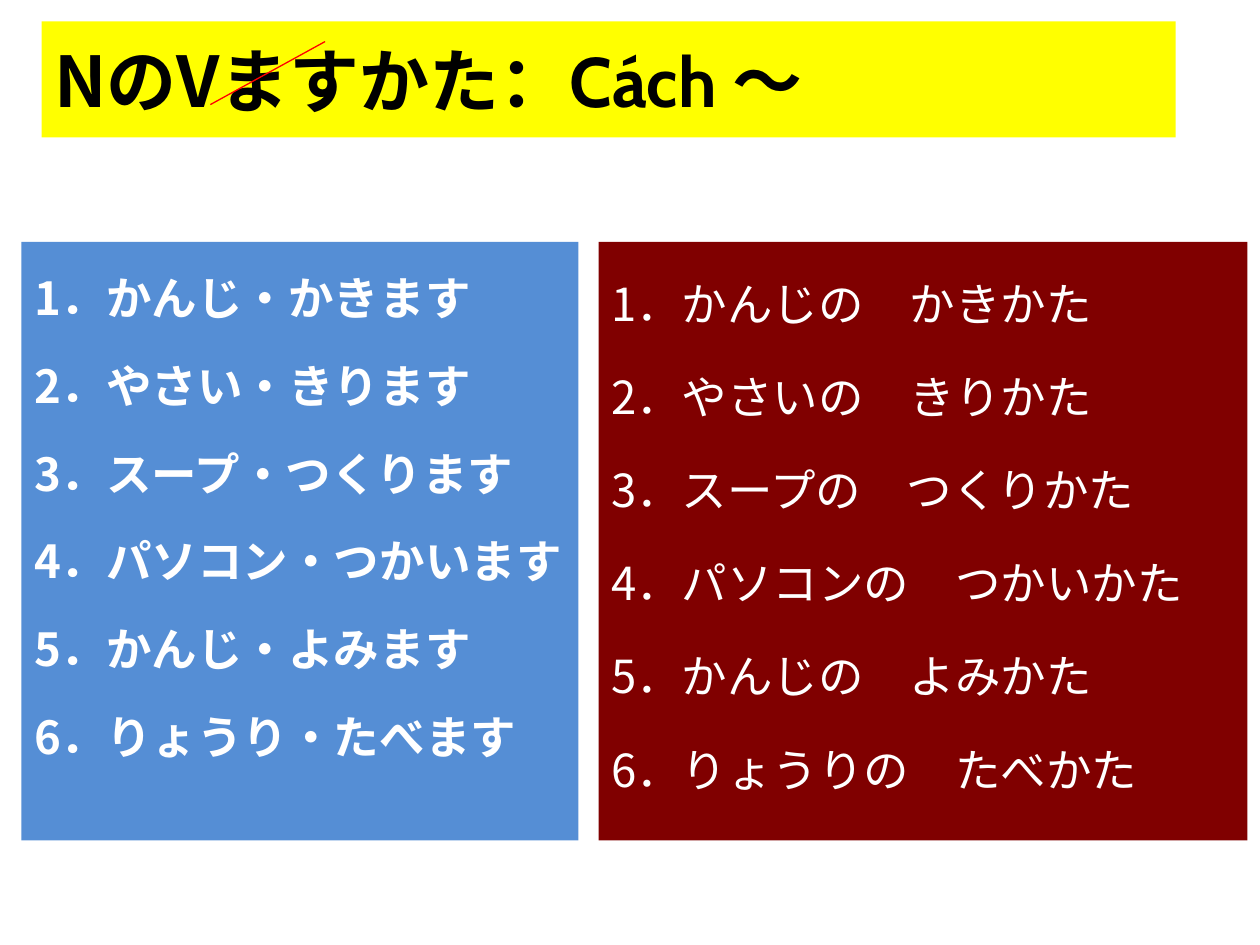
from lxml import etree
from pptx import Presentation
from pptx.dml.color import RGBColor
from pptx.enum.shapes import MSO_CONNECTOR
from pptx.enum.text import MSO_ANCHOR, MSO_AUTO_SIZE, PP_ALIGN
from pptx.oxml.ns import qn
from pptx.util import Inches, Pt

STRAIGHT = MSO_CONNECTOR.STRAIGHT
TOP, MIDDLE = MSO_ANCHOR.TOP, MSO_ANCHOR.MIDDLE
NO_FIT = MSO_AUTO_SIZE.NONE
LEFT = PP_ALIGN.LEFT

COLORS = {
    "yellow": "FFFF00",
    "blue": "558ED5",
    "maroon": "800000",
    "red": "FF0000",
    "black": "000000",
    "white": "FFFFFF",
}
JAPANESE, LATIN = "Noto Sans CJK JP", "Cabin"
TITLE = [("NのVますかた：", JAPANESE), ("Cách ", LATIN), ("～", JAPANESE)]
VERBS = [
    "1．かんじ・かきます",
    "2．やさい・きります",
    "3．スープ・つくります",
    "4．パソコン・つかいます",
    "5．かんじ・よみます",
    "6．りょうり・たべます",
]
WAYS = [
    "1．かんじの　かきかた",
    "2．やさいの　きりかた",
    "3．スープの　つくりかた",
    "4．パソコンの　つかいかた",
    "5．かんじの　よみかた",
    "6．りょうりの　たべかた",
]


def rgb(name):
    """Return the named colour."""
    return RGBColor.from_string(COLORS[name])


class SlideBuilder:
    """Holds the text style and the slide being built."""

    def __init__(self, slide):
        """Keep the slide and the shared sizes."""
        self.s = slide
        self.title_size, self.list_size = Pt(40), Pt(26)
        self.indent, self.gap = Inches(0.38), Pt(6.5)

    def place(self, sp, box, fill, anchor):
        """Move, fill and empty a placeholder and return its text frame."""
        sp.left, sp.top, sp.width, sp.height = (Inches(v) for v in box)
        sp.fill.solid()
        sp.fill.fore_color.rgb = rgb(fill)
        tf = sp.text_frame
        tf.word_wrap = True
        tf.auto_size = NO_FIT
        tf.vertical_anchor = anchor
        return tf

    def style(self, r, font, size, color, bold):
        """Format a run for Latin and East Asian text."""
        r.font.name, r.font.size, r.font.bold = font, size, bold
        r.font.color.rgb = rgb(color)
        ea = etree.SubElement(r.font._element, qn("a:ea"))
        ea.set("typeface", font)

    def title(self, parts, box, fill):
        """Fill the title with runs in their own fonts."""
        p = self.place(self.s.shapes.title, box, fill, MIDDLE).paragraphs[0]
        p.alignment = LEFT
        for text, font in parts:
            r = p.add_run()
            r.text = text
            self.style(r, font, self.title_size, "black", True)

    def items(self, idx, lines, box, fill, spacing, bold):
        """Fill a body placeholder with hanging lines."""
        tf = self.place(self.s.placeholders[idx], box, fill, TOP)
        tf.text = "\n".join(lines)
        for i, p in enumerate(tf.paragraphs):
            pPr = p._p.get_or_add_pPr()
            pPr.set("marL", str(self.indent))
            pPr.set("indent", str(-self.indent))
            etree.SubElement(pPr, qn("a:buNone"))
            p.line_spacing = spacing
            p.space_before = self.gap if i else Pt(0)
            self.style(p.runs[0], JAPANESE, self.list_size, "white", bold)

    def line(self, start, end, color, width):
        """Draw a straight line."""
        points = (Inches(v) for v in start + end)
        c = self.s.shapes.add_connector(STRAIGHT, *points)
        c.line.color.rgb = rgb(color)
        c.line.width = Pt(width)
        etree.SubElement(c._element.spPr, qn("a:effectLst"))


def main():
    """Build and save the slide."""
    prs = Presentation()
    prs.slide_width, prs.slide_height = Inches(10), Inches(7.5)
    b = SlideBuilder(prs.slides.add_slide(prs.slide_layouts[3]))
    b.title(TITLE, (0.33, 0.17, 9, 0.92), "yellow")
    b.items(1, VERBS, (0.17, 1.92, 4.42, 4.75), "blue", 1.4, True)
    b.items(2, WAYS, (4.75, 1.92, 5.15, 4.75), "maroon", 1.5, False)
    b.line((2.58, 0.33), (1.67, 0.83), "red", 0.75)
    prs.save("out.pptx")


if __name__ == "__main__":
    main()
